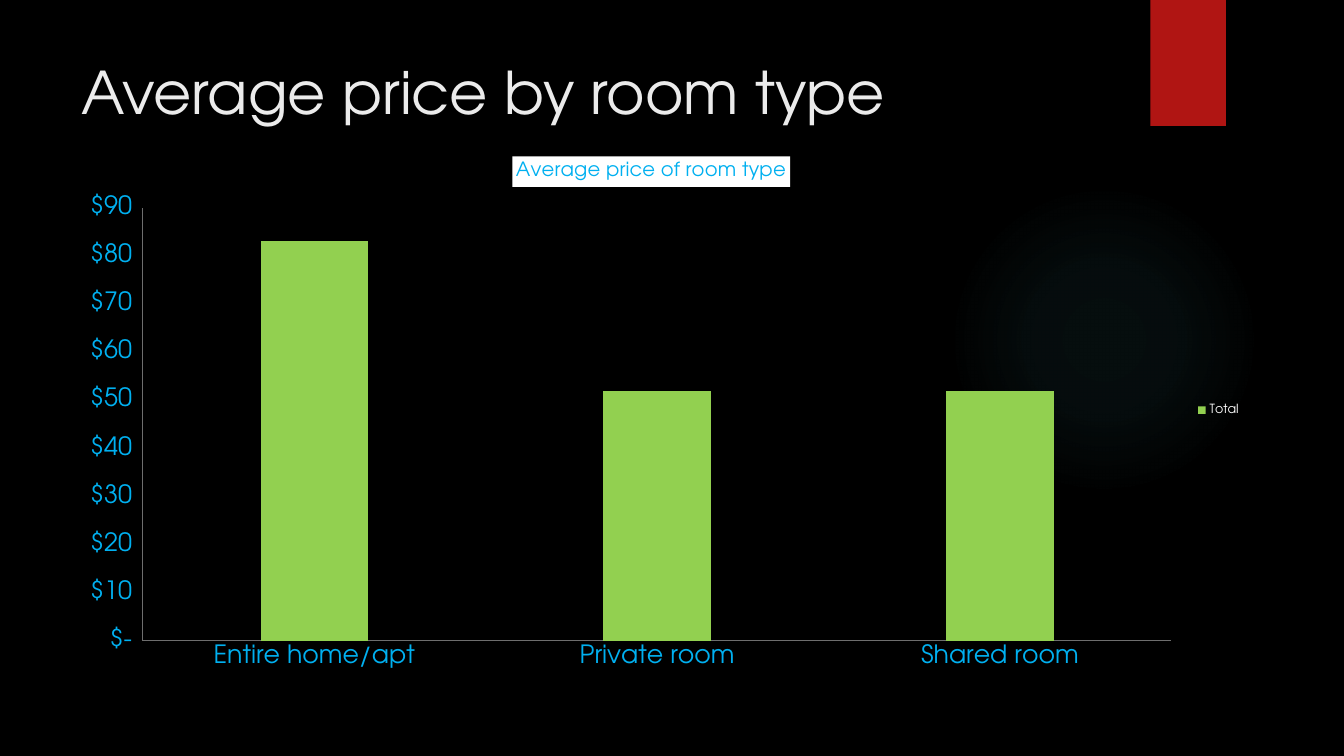
import pptx
import pptx.chart.data
import pptx.dml.color
import pptx.enum.chart
import pptx.enum.shapes
import pptx.enum.text
import pptx.oxml
import pptx.oxml.ns
import pptx.util

Inches, Pt = pptx.util.Inches, pptx.util.Pt
COLORS = {"bg": "000000", "glow": "50B9C1", "red": "B01513", "title": "EBEBEB",
          "blue": "00B0F0", "bar": "92D050", "white": "FFFFFF", "axis": "6E6E6E"}
FONT = "TeX Gyre Adventor"
PRICE_FORMAT = '"$"#,##0_ ;-"$"#,##0_ ;"$-"_ '


def rgb(name):
    return pptx.dml.color.RGBColor.from_string(COLORS[name])


class SlideBuilder:
    def __init__(self, prs):
        self.slide = prs.slides.add_slide(prs.slide_layouts[6])
        self.shapes = self.slide.shapes

    def background(self, color):
        fill = self.slide.background.fill
        fill.solid()
        fill.fore_color.rgb = rgb(color)

    def font(self, font, size, color):
        for key, value in {"name": FONT, "size": Pt(size), "bold": False}.items():
            setattr(font, key, value)
        font.color.rgb = rgb(color)

    def shape(self, kind, box, color):
        s = self.shapes.add_shape(kind, *map(Inches, box))
        s.shadow.inherit = False
        s.fill.solid()
        s.fill.fore_color.rgb = rgb(color)
        s.line.fill.background()
        return s

    def glow(self, box, color, stops):
        s = self.shape(pptx.enum.shapes.MSO_SHAPE.OVAL, box, color)
        gs = "".join(
            f'<a:gs pos="{pos * 1000}"><a:srgbClr val="{COLORS[color]}">'
            f'<a:alpha val="{alpha * 1000}"/></a:srgbClr></a:gs>' for pos, alpha in stops)
        grad = pptx.oxml.parse_xml(
            f'<a:gradFill {pptx.oxml.ns.nsdecls("a")}><a:gsLst>{gs}</a:gsLst><a:path path="circle">'
            '<a:fillToRect l="50000" t="50000" r="50000" b="50000"/></a:path></a:gradFill>')
        solid = s._element.spPr.find(pptx.oxml.ns.qn("a:solidFill"))
        solid.getparent().replace(solid, grad)

    def text(self, box, text, size, color):
        tf = self.shapes.add_textbox(*map(Inches, box)).text_frame
        tf.word_wrap = True
        tf.vertical_anchor = pptx.enum.text.MSO_ANCHOR.TOP
        r = tf.paragraphs[0].add_run()
        r.text = text
        self.font(r.font, size, color)

    def place(self, element, index, **fractions):
        """Give a chart part a manual layout, in fractions of the chart."""
        for old in element.findall(pptx.oxml.ns.qn("c:layout")):
            element.remove(old)
        inner = '<c:layoutTarget val="inner"/>' if "w" in fractions else ""
        modes = '<c:xMode val="edge"/><c:yMode val="edge"/>'
        values = "".join(f'<c:{key} val="{value}"/>' for key, value in fractions.items())
        element.insert(index, pptx.oxml.parse_xml(
            f'<c:layout {pptx.oxml.ns.nsdecls("c")}><c:manualLayout>{inner}{modes}{values}'
            '</c:manualLayout></c:layout>'))

    def axis(self, axis):
        none = pptx.enum.chart.XL_TICK_MARK.NONE
        settings = {"major_tick_mark": none, "minor_tick_mark": none,
                    "has_major_gridlines": False}
        for key, value in settings.items():
            setattr(axis, key, value)
        self.font(axis.tick_labels.font, 18, "blue")
        axis.format.line.width = Pt(0.75)
        axis.format.line.color.rgb = rgb("axis")

    def column_chart(self, box, title, name, prices):
        data = pptx.chart.data.CategoryChartData()
        data.categories = list(prices)
        data.add_series(name, list(prices.values()))
        chart = self.shapes.add_chart(
            pptx.enum.chart.XL_CHART_TYPE.COLUMN_CLUSTERED, *map(Inches, box), data).chart
        self.font(chart.font, 10, "white")

        # Chart title on a white box
        chart.has_title = True
        r = chart.chart_title.text_frame.paragraphs[0].add_run()
        r.text = title
        self.font(r.font, 14, "blue")
        fill = chart.chart_title.format.fill
        fill.solid()
        fill.fore_color.rgb = rgb("white")
        self.place(chart.chart_title._element, 1, x=0.38, y=0.03)

        # Columns
        plot = chart.plots[0]
        for key, value in {"gap_width": 219, "overlap": -27, "vary_by_categories": False}.items():
            setattr(plot, key, value)
        fill = plot.series[0].format.fill
        fill.solid()
        fill.fore_color.rgb = rgb("bar")
        self.place(plot._element.getparent(), 0, x=0.07, y=0.125, w=0.863, h=0.802)

        # Axes
        for axis in (chart.category_axis, chart.value_axis):
            self.axis(axis)
        for key, value in {"minimum_scale": 0, "maximum_scale": 90, "major_unit": 10}.items():
            setattr(chart.value_axis, key, value)
        labels = chart.value_axis.tick_labels
        labels.number_format = PRICE_FORMAT
        labels.number_format_is_linked = False

        # Legend
        chart.has_legend = True
        chart.legend.position = pptx.enum.chart.XL_LEGEND_POSITION.RIGHT
        chart.legend.include_in_layout = False
        self.font(chart.legend.font, 9, "white")


def main():
    prs = pptx.Presentation()
    prs.slide_width, prs.slide_height = Inches(13.33), Inches(7.5)
    page = SlideBuilder(prs)

    # Backdrop
    page.background("bg")
    page.glow((9.41, 1.83, 3.08, 3.08), "glow", [(0, 7), (36, 6), (69, 0)])
    page.shape(pptx.enum.shapes.MSO_SHAPE.RECTANGLE, (11.41, 0, 0.75, 1.25), "red")

    # Heading and chart
    page.text((0.71, 0.5, 10.29, 1.53), "Average price by room type", 42, "title")
    page.column_chart((0.59, 1.39, 11.82, 5.36), "Average price of room type", "Total",
                      {"Entire home/apt": 83, "Private room": 52, "Shared room": 52})
    prs.save("out.pptx")


if __name__ == "__main__":
    main()
